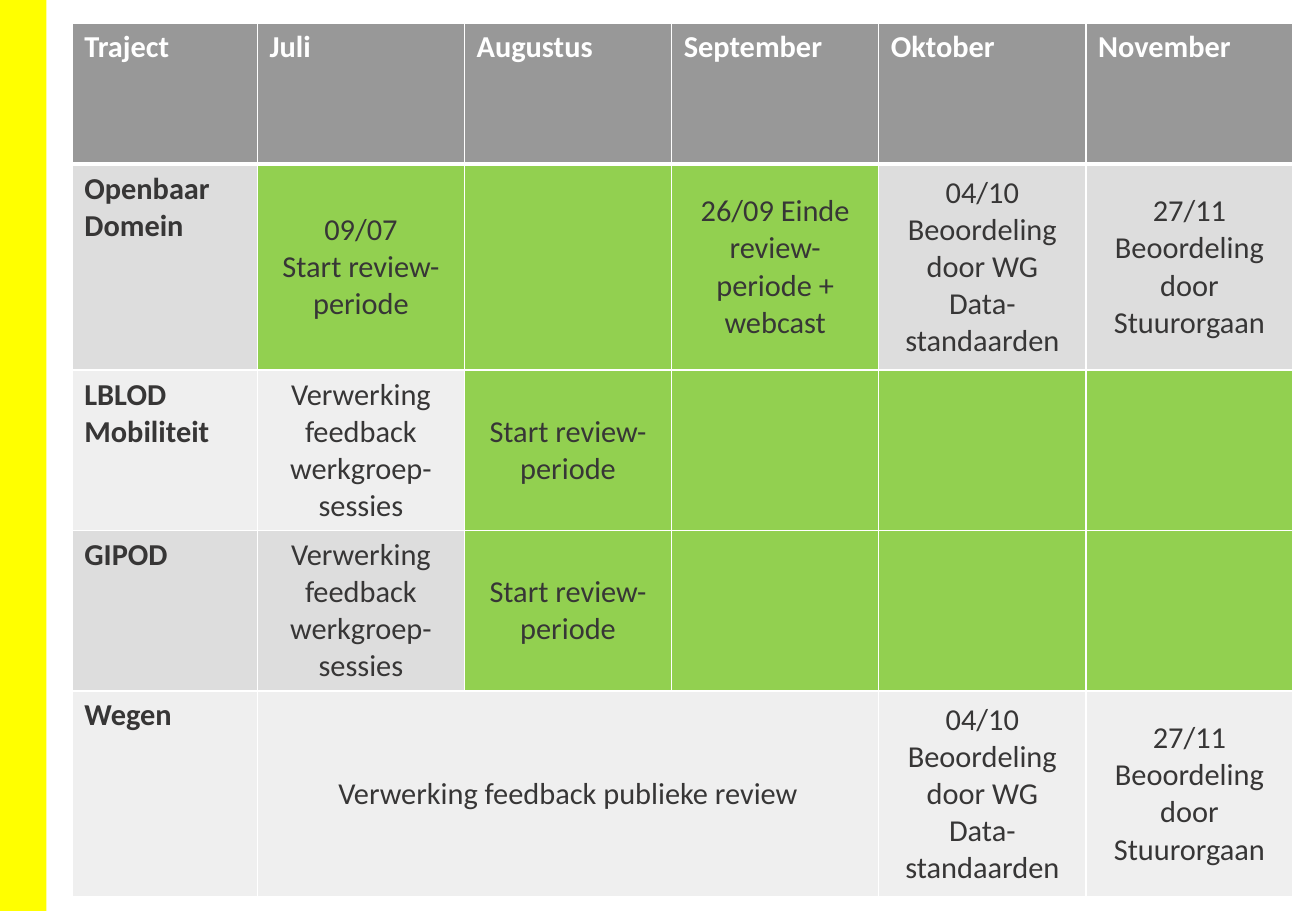
from lxml import etree
from pptx import Presentation
from pptx import util as u
from pptx.dml.color import RGBColor
from pptx.enum import shapes, text
from pptx.oxml.ns import qn

COLORS = {
    "white": "FFFFFF", "yellow": "FFFF00", "header": "989898",
    "dark": "DDDDDD", "light": "EFEFEF", "green": "92D050", "ink": "373636",
}

MONTHS = ["Juli", "Augustus", "September", "Oktober", "November"]
FEEDBACK = "Verwerking feedback werkgroep-sessies"
START = "Start review-periode"
WORKGROUP = "04/10 Beoordeling door WG Data-standaarden"
STEERING = "27/11 Beoordeling door Stuurorgaan"

# Track, text per month, columns of the review period
TRACKS = [
    ("Openbaar Domein",
     ["09/07\nStart review-periode", "", "26/09 Einde review-periode + webcast",
      WORKGROUP, STEERING], range(1, 4)),
    ("LBLOD Mobiliteit", [FEEDBACK, START, "", "", ""], range(2, 6)),
    ("GIPOD", [FEEDBACK, START, "", "", ""], range(2, 6)),
    ("Wegen", ["Verwerking feedback publieke review", "", "", WORKGROUP, STEERING],
     range(0)),
]


def rgb(name):
    return RGBColor.from_string(COLORS[name])


class SlideBuilder:
    def __init__(self, slide, font="Calibri", size=18):
        self.slide, self.font, self.size = slide, font, size

    def bar(self, x, y, w, h, color):
        sp = self.slide.shapes.add_shape(
            shapes.MSO_SHAPE.RECTANGLE, u.Cm(x), u.Cm(y), u.Cm(w), u.Cm(h))
        sp.shadow.inherit = False
        sp.fill.solid()
        sp.fill.fore_color.rgb = rgb(color)
        sp.line.fill.background()

    def table(self, x, y, widths, heights):
        frame = self.slide.shapes.add_table(
            len(heights), len(widths), u.Cm(x), u.Cm(y),
            u.Cm(sum(widths)), u.Cm(sum(heights)))
        table = frame.table
        table.horz_banding = False
        for column, width in zip(table.columns, widths):
            column.width = u.Cm(width)
        for row, height in zip(table.rows, heights):
            row.height = u.Cm(height)
        return table

    def cell(self, cell, words, fill, color="ink", bold=False, centered=False,
             top=1, bottom=1):
        self.borders(cell, {"L": 1, "R": 1, "T": top, "B": bottom})
        cell.fill.solid()
        cell.fill.fore_color.rgb = rgb(fill)
        p = cell.text_frame.paragraphs[0]
        p.text = words
        p.font.name, p.font.size = self.font, u.Pt(self.size)
        p.font.bold = bold
        p.font.color.rgb = rgb(color)
        if centered:
            p.alignment = text.PP_ALIGN.CENTER
            cell.vertical_anchor = text.MSO_ANCHOR.MIDDLE

    def borders(self, cell, widths):
        tc_pr = cell._tc.get_or_add_tcPr()
        for side, width in widths.items():
            ln = etree.SubElement(tc_pr, qn(f"a:ln{side}"), w=str(u.Pt(width)))
            fill = etree.SubElement(ln, qn("a:solidFill"))
            etree.SubElement(fill, qn("a:srgbClr"), val=COLORS["white"])


def main():
    prs = Presentation()
    prs.slide_width, prs.slide_height = u.Cm(27.51), u.Cm(19.05)
    s = SlideBuilder(prs.slides.add_slide(prs.slide_layouts[6]))

    # Yellow side bar
    s.bar(0, 0, 0.97, 19.05, "yellow")

    # Planning table
    table = s.table(1.51, 0.48, [3.87] + [4.33] * len(MONTHS),
                    [2.95, 4.31, 2.95, 2.95, 4.31])

    # Header row
    for col, title in enumerate(["Traject"] + MONTHS):
        s.cell(table.cell(0, col), title, "header", "white", bold=True, bottom=3)

    # One row per track
    for row, (track, steps, review) in enumerate(TRACKS, start=1):
        band = "dark" if row % 2 else "light"
        top = 3 if row == 1 else 1
        for col, words in enumerate([track] + steps):
            s.cell(table.cell(row, col), words, "green" if col in review else band,
                   bold=col == 0, centered=col > 0, top=top)

    # Feedback on the public review spans July to September
    table.cell(4, 1).merge(table.cell(4, 3))

    prs.save("out.pptx")


if __name__ == "__main__":
    main()
